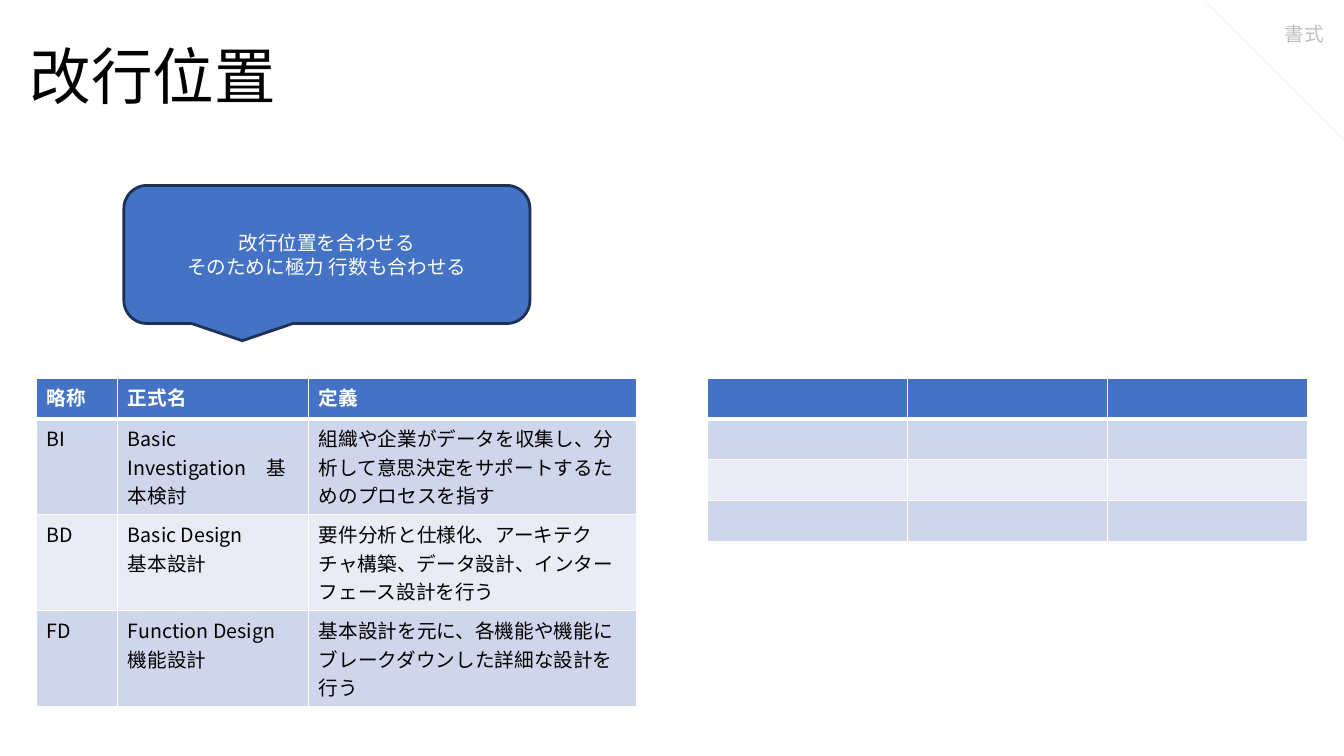
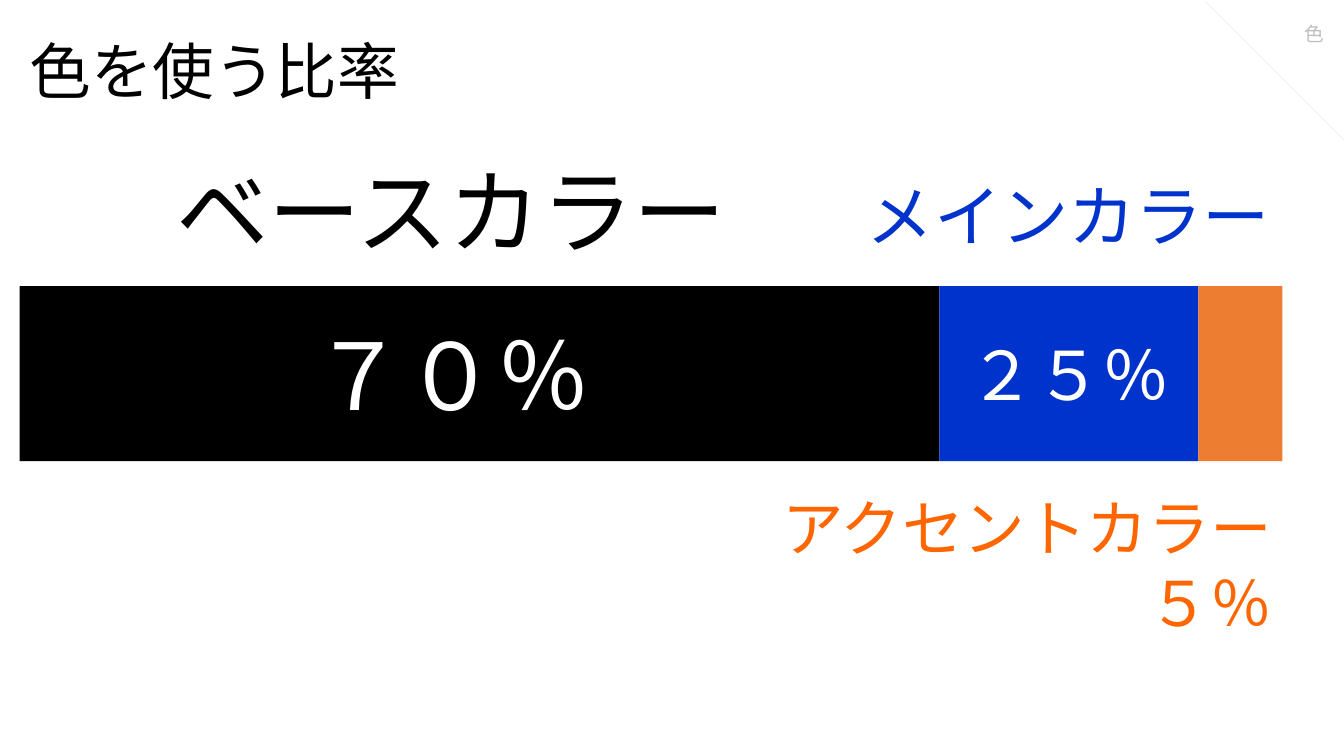
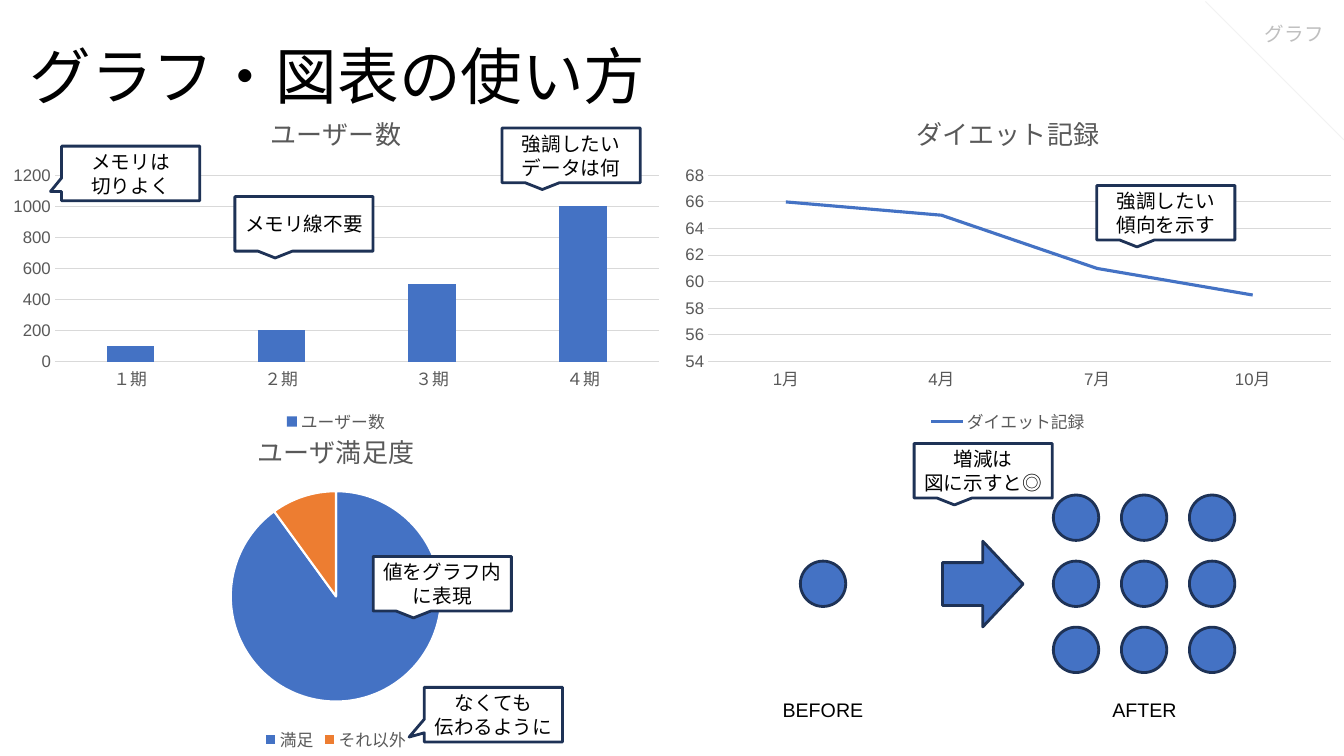
from dataclasses import dataclass

from lxml import etree
from pptx import Presentation
from pptx import util as u
from pptx.chart.data import CategoryChartData
from pptx.dml.color import RGBColor
from pptx.enum import chart as charts
from pptx.enum import shapes, text
from pptx.oxml import ns

Pt = u.Pt
SHAPE = shapes.MSO_SHAPE
LEFT, CENTER, RIGHT = text.PP_ALIGN.LEFT, text.PP_ALIGN.CENTER, text.PP_ALIGN.RIGHT
MIDDLE, TOP = text.MSO_ANCHOR.MIDDLE, text.MSO_ANCHOR.TOP


@dataclass(frozen=True)
class Theme:
    font: str = "Noto Sans CJK JP"
    latin: str = "Arial"
    black: str = "000000"
    white: str = "FFFFFF"
    blue: str = "4472C4"
    outline: str = "1E3256"
    orange: str = "ED7D31"
    main: str = "0033CC"
    accent: str = "FF6600"
    band_dark: str = "CFD5EA"
    band_light: str = "E9EBF5"
    corner_line: str = "F2F2F2"
    corner_text: str = "BFBFBF"
    chart_text: str = "595959"
    grid: str = "D9D9D9"
    title: float = 44
    huge: float = 66
    large: float = 48
    body: float = 14
    chart_title: float = 18.6
    chart_label: float = 12
    tight_line: float = 17


T = Theme()


def rgb(value):
    return RGBColor.from_string(value)


def points(*lengths):
    return [Pt(length) for length in lengths]


def write(frame, content, size=T.body, color=T.black, align=LEFT, font=T.font,
          bold=False, spacing=None):
    frame.text = content
    for paragraph in frame.paragraphs:
        paragraph.alignment = align
        if spacing:
            paragraph.line_spacing = spacing
        for run in paragraph.runs:
            run.font.size = Pt(size)
            run.font.bold = bold
            run.font.color.rgb = rgb(color)
            run.font.name = font
            east_asian = etree.SubElement(run._r.get_or_add_rPr(), ns.qn("a:ea"))
            east_asian.set("typeface", T.font)


def add_label(slide, box, content, anchor=MIDDLE, **style):
    frame = slide.shapes.add_textbox(*points(*box)).text_frame
    frame.word_wrap = True
    frame.vertical_anchor = anchor
    write(frame, content, **style)
    return frame


def add_block(slide, kind, box, fill=T.blue, outline=None):
    block = slide.shapes.add_shape(kind, *points(*box))
    block.shadow.inherit = False
    block.fill.solid()
    block.fill.fore_color.rgb = rgb(fill)
    if outline:
        block.line.color.rgb = rgb(outline)
        block.line.width = Pt(2)
    else:
        block.line.fill.background()
    return block


def add_callout(slide, kind, box, content, fill=T.white, color=T.black,
                font=T.font, tip=None):
    """Speech bubble; tip is its point, as shares of the box from its centre."""
    callout = add_block(slide, kind, box, fill, T.outline)
    for index, share in enumerate(tip or ()):
        callout.adjustments[index] = share
    callout.text_frame.word_wrap = True
    callout.text_frame.vertical_anchor = MIDDLE
    write(callout.text_frame, content, color=color, align=CENTER, font=font,
          spacing=Pt(T.tight_line))


def add_corner(slide, section, left=861, top=1, side=99):
    diagonal = slide.shapes.add_connector(
        shapes.MSO_CONNECTOR.STRAIGHT, *points(left, top, left + side, top + side))
    diagonal.line.color.rgb = rgb(T.corner_line)
    diagonal.line.width = Pt(0.75)
    properties = diagonal._element.find(ns.qn("p:spPr"))
    etree.SubElement(properties, ns.qn("a:effectLst"))
    frame = add_label(slide, (left, top, side, side), section, TOP,
                      color=T.corner_text, align=RIGHT)
    frame.margin_top = frame.margin_right = Pt(14.4)


def new_slide(deck, title, section, title_top=10):
    slide = deck.slides.add_slide(deck.slide_layouts[6])
    add_label(slide, (14, title_top, 932, 94), title, size=T.title, spacing=0.9)
    add_corner(slide, section)
    return slide


def set_borders(cell, widths):
    """widths: left, right, top and bottom, in points."""
    properties = cell._tc.get_or_add_tcPr()
    for side, width in zip("LRTB", widths):
        border = etree.SubElement(properties, ns.qn(f"a:ln{side}"), w=str(int(Pt(width))))
        fill = etree.SubElement(border, ns.qn("a:solidFill"))
        etree.SubElement(fill, ns.qn("a:srgbClr"), val=T.white)


def add_grid(slide, left, top, widths, heights, rows):
    grid = slide.shapes.add_table(
        len(heights), len(widths),
        *points(left, top, sum(widths), sum(heights))).table
    grid.first_row = grid.horz_banding = False
    for column, width in zip(grid.columns, widths):
        column.width = Pt(width)
    for r, (height, contents) in enumerate(zip(heights, rows)):
        grid.rows[r].height = Pt(height)
        header = r == 0
        band = T.blue if header else (T.band_light, T.band_dark)[r % 2]
        for c, content in enumerate(contents):
            cell = grid.cell(r, c)
            set_borders(cell, (1, 1, 3 if r == 1 else 1, 3 if header else 1))
            cell.fill.solid()
            cell.fill.fore_color.rgb = rgb(band)
            write(cell.text_frame, content, bold=header,
                  color=T.white if header else T.black)


def build_line_breaks(deck):
    slide = new_slide(deck, "改行位置", "書式")
    terms = [
        ("略称", "正式名", "定義"),
        ("BI", "Basic Investigation　基本検討",
         "組織や企業がデータを収集し、分析して意思決定をサポートするためのプロセスを指す"),
        ("BD", "Basic Design\n基本設計",
         "要件分析と仕様化、アーキテクチャ構築、データ設計、インターフェース設計を行う"),
        ("FD", "Function Design\n機能設計",
         "基本設計を元に、各機能や機能にブレークダウンした詳細な設計を行う"),
    ]
    add_grid(slide, 26.2, 270, (58, 136.4, 234), (29.2, 68.5, 68.5, 68.5), terms)
    add_grid(slide, 505.6, 270, [142.8] * 3, [29.2] * 4, [[""] * 3] * 4)
    add_callout(slide, SHAPE.ROUNDED_RECTANGULAR_CALLOUT, (88.5, 132.5, 290, 98.6),
                "改行位置を合わせる\nそのために極力 行数も合わせる",
                fill=T.blue, color=T.white, font=T.latin)


def add_ratio_bar(slide, left, top, height, segments):
    """Segments side by side: width, fill, value, type size, right inset."""
    for width, fill, value, size, inset in segments:
        segment = add_block(slide, SHAPE.RECTANGLE, (left, top, width, height), fill)
        if value:
            segment.text_frame.margin_right = Pt(inset)
            segment.text_frame.vertical_anchor = MIDDLE
            write(segment.text_frame, value, size, T.white, CENTER)
        left += width


def build_color_ratio(deck):
    slide = new_slide(deck, "色を使う比率", "色", title_top=6.5)
    add_ratio_bar(slide, 14, 204.5, 125, [
        (657, T.black, "７０％", T.huge, 47.5),
        (185, T.main, "２５％", T.large, 7.2),
        (60, T.orange, "", T.body, 7.2),
    ])
    labels = [
        ((104.4, 93.6, 435.6, 112.3), "ベースカラー", T.huge, T.black, CENTER),
        ((611.3, 101.5, 303.8, 103.7), "メインカラー", T.large, T.main, CENTER),
        ((526.3, 347.8, 389.5, 57.6), "アクセントカラー", T.title, T.accent, RIGHT),
        ((699, 383, 216.8, 93.6), "５％", T.title, T.accent, RIGHT),
    ]
    for box, content, size, color, align in labels:
        add_label(slide, box, content, size=size, color=color, align=align)


def add_plot(slide, kind, left, top, title, values):
    """Chart with one series, its title above and its legend below."""
    data = CategoryChartData()
    data.categories = list(values)
    data.add_series(title, list(values.values()))
    chart = slide.shapes.add_chart(kind, *points(left, top, 480, 246), data).chart
    chart.font.size = Pt(T.chart_label)
    chart.font.name = T.latin
    chart.font.color.rgb = rgb(T.chart_text)
    chart.has_title = True
    write(chart.chart_title.text_frame, title, T.chart_title, T.chart_text,
          CENTER, T.latin)
    chart.chart_title.include_in_layout = False
    chart.has_legend = True
    chart.legend.position = charts.XL_LEGEND_POSITION.BOTTOM
    chart.legend.include_in_layout = False
    return chart


def style_axes(chart, low, high, step):
    scale, periods = chart.value_axis, chart.category_axis
    scale.minimum_scale, scale.maximum_scale, scale.major_unit = low, high, step
    scale.major_gridlines.format.line.color.rgb = rgb(T.grid)
    scale.major_gridlines.format.line.width = Pt(0.75)
    scale.format.line.fill.background()
    periods.format.line.color.rgb = rgb(T.grid)
    periods.format.line.width = Pt(0.75)
    for axis in (scale, periods):
        axis.major_tick_mark = charts.XL_TICK_MARK.NONE


def add_users(slide, left, top):
    chart = add_plot(slide, charts.XL_CHART_TYPE.COLUMN_CLUSTERED, left, top, "ユーザー数",
                     {"１期": 100, "２期": 200, "３期": 500, "４期": 1000})
    style_axes(chart, 0, 1200, 200)
    plot = chart.plots[0]
    plot.vary_by_categories = False
    plot.gap_width, plot.overlap = 219, -27
    users = plot.series[0]
    users.format.fill.solid()
    users.format.fill.fore_color.rgb = rgb(T.blue)


def add_diet(slide, left, top):
    chart = add_plot(slide, charts.XL_CHART_TYPE.LINE, left, top, "ダイエット記録",
                     {"1月": 66, "4月": 65, "7月": 61, "10月": 59})
    style_axes(chart, 54, 68, 2)
    chart.plots[0].vary_by_categories = False
    weight = chart.plots[0].series[0]
    weight.smooth = False
    weight.marker.style = charts.XL_MARKER_STYLE.NONE
    weight.format.line.color.rgb = rgb(T.blue)
    weight.format.line.width = Pt(2.25)


def add_satisfaction(slide, left, top):
    chart = add_plot(slide, charts.XL_CHART_TYPE.PIE, left, top, "ユーザ満足度",
                     {"満足": 90, "それ以外": 10})
    chart.plots[0].vary_by_categories = True
    for index, color in enumerate((T.blue, T.orange)):
        wedge = chart.plots[0].series[0].points[index].format
        wedge.fill.solid()
        wedge.fill.fore_color.rgb = rgb(color)
        wedge.line.color.rgb = rgb(T.white)
        wedge.line.width = Pt(1.5)


def add_growth(slide, left, top):
    """One dot, an arrow and three by three dots."""
    dot, step_x, step_y, after = 32.4, 48.6, 47.2, 229.7
    dots = [(49, step_y)]
    dots += [(after + c * step_x, r * step_y) for r in range(3) for c in range(3)]
    for x, y in dots:
        add_block(slide, SHAPE.OVAL, (left + x, top + y, dot, dot), outline=T.outline)
    add_block(slide, SHAPE.RIGHT_ARROW, (left + 150.5, top + 33, 57.6, 61.2),
              outline=T.outline)
    for x, caption in ((0, "BEFORE"), (after, "AFTER")):
        add_label(slide, (left + x, top + 141, 130.3, 24.5), caption,
                  align=CENTER, font=T.latin, spacing=Pt(T.tight_line))


def build_charts(deck):
    slide = new_slide(deck, "グラフ・図表の使い方", "グラフ")
    add_users(slide, 0, 67)
    add_diet(slide, 480, 67)
    add_satisfaction(slide, 0, 294)
    add_growth(slide, 522.7, 353.6)
    hints = [
        (167.8, 140.4, "メモリ線不要", None),
        (44, 104.4, "メモリは\n切りよく", (-0.58, 0.33)),
        (358.6, 91.5, "強調したい\nデータは何", None),
        (266.6, 397.5, "値をグラフ内に表現", None),
        (783.4, 132.5, "強調したい\n傾向を示す", None),
        (653, 316.8, "増減は\n図に示すと◎", None),
        (303.1, 491, "なくても\n伝わるように", (-0.61, 0.41)),
    ]
    for left, top, content, tip in hints:
        add_callout(slide, SHAPE.RECTANGULAR_CALLOUT, (left, top, 98.7, 39),
                    content, tip=tip)


def main():
    deck = Presentation()
    deck.slide_width, deck.slide_height = points(960, 540)
    build_line_breaks(deck)
    build_color_ratio(deck)
    build_charts(deck)
    deck.save("out.pptx")


if __name__ == "__main__":
    main()
